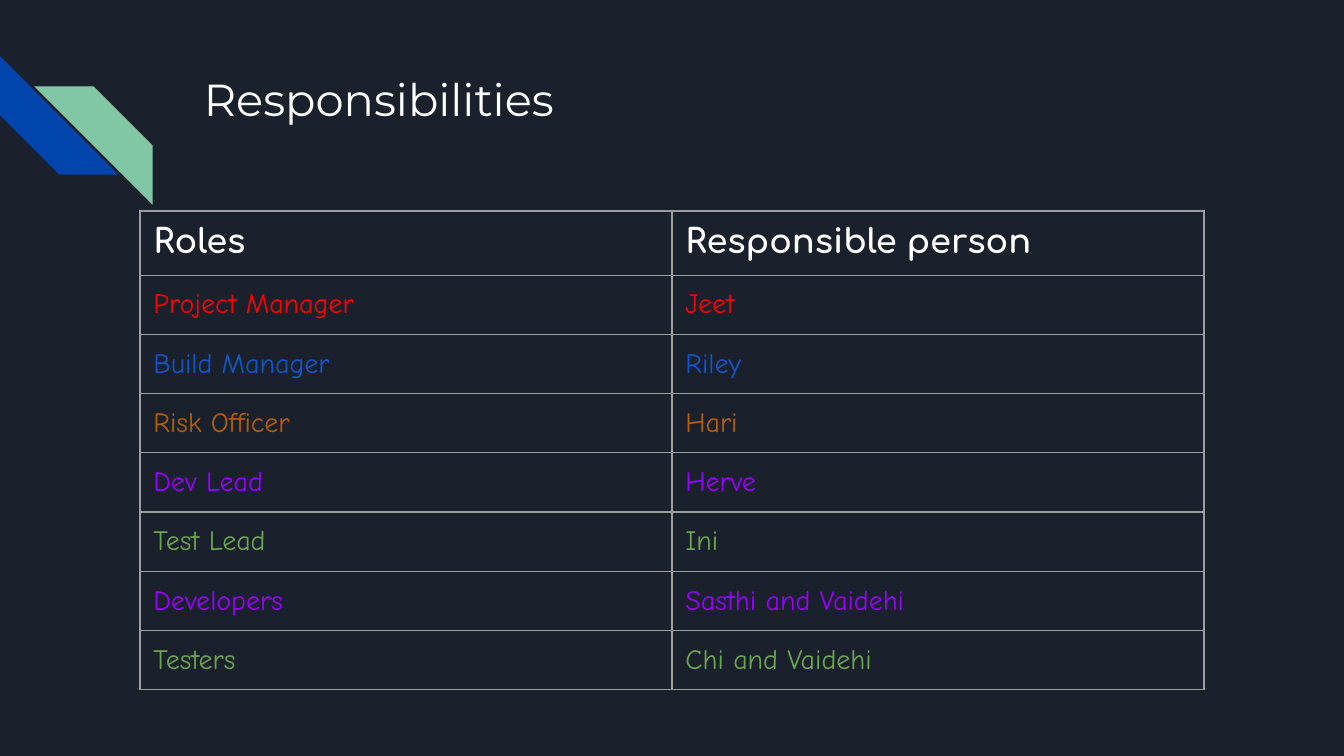
from lxml.etree import SubElement
from pptx import Presentation
from pptx.dml.color import RGBColor
from pptx.enum.shapes import MSO_SHAPE
from pptx.enum.text import MSO_ANCHOR, PP_ALIGN
from pptx.oxml.ns import qn
from pptx.util import Pt

NAVY = RGBColor(0x1B, 0x21, 0x2C)
WHITE = RGBColor(0xFF, 0xFF, 0xFF)
COBALT = RGBColor(0x01, 0x45, 0xAC)
MINT = RGBColor(0x82, 0xC7, 0xA5)
RED = RGBColor(0xFF, 0x00, 0x00)
BLUE = RGBColor(0x11, 0x55, 0xCC)
BROWN = RGBColor(0xB4, 0x5F, 0x06)
PURPLE = RGBColor(0x99, 0x00, 0xFF)
GREEN = RGBColor(0x6A, 0xA8, 0x4F)
GREY = RGBColor(0x9E, 0x9E, 0x9E)

TITLE = "Responsibilities"
HEADINGS = ("Roles", "Responsible person")
ASSIGNMENTS = [
    ("Project Manager", "Jeet", RED),
    ("Build Manager", "Riley", BLUE),
    ("Risk Officer", "Hari", BROWN),
    ("Dev Lead", "Herve", PURPLE),
    ("Test Lead", "Ini", GREEN),
    ("Developers", "Sasthi and Vaidehi", PURPLE),
    ("Testers", "Chi and Vaidehi", GREEN),
]
STRIPES = [(0, 30, 270, COBALT), (18.25, 46.25, 90, MINT)]

STRIPE_SIZE = 63.5
TABLE_LEFT, TABLE_TOP = 75, 113
COLUMN_WIDTH, ROW_HEIGHT = 285, 30
INSET = Pt(7.2)
BORDER = Pt(0.75)


def add_span(para, text, font, size, color, bold=False):
    span = para.add_run()
    span.text = text
    span.font.name = font
    span.font.size = Pt(size)
    span.font.color.rgb = color
    span.font.bold = bold


def set_insets(holder):
    holder.margin_left = holder.margin_right = INSET
    holder.margin_top = holder.margin_bottom = INSET


def add_borders(cell):
    properties = cell._tc.get_or_add_tcPr()
    for position, side in enumerate(("lnL", "lnR", "lnT", "lnB")):
        line = SubElement(properties, qn(f"a:{side}"), w=str(BORDER))
        fill = SubElement(line, qn("a:solidFill"))
        SubElement(fill, qn("a:srgbClr"), val=str(GREY))
        properties.insert(position, line)


def add_stripe(page, left, top, rotation, color):
    stripe = page.shapes.add_shape(
        MSO_SHAPE.DIAGONAL_STRIPE, Pt(left), Pt(top), Pt(STRIPE_SIZE), Pt(STRIPE_SIZE))
    stripe.rotation = rotation
    stripe.shadow.inherit = False
    stripe.fill.solid()
    stripe.fill.fore_color.rgb = color
    stripe.line.fill.background()


def add_title(page):
    box = page.shapes.title
    box.left, box.top, box.width, box.height = Pt(102), Pt(31), Pt(554.5), Pt(72)
    frame = box.text_frame
    set_insets(frame)
    frame.word_wrap = True
    frame.vertical_anchor = MSO_ANCHOR.TOP
    para = frame.paragraphs[0]
    para.alignment = PP_ALIGN.LEFT
    add_span(para, TITLE, "Montserrat", 24, WHITE)


def add_roles_table(page):
    row_count, column_count = len(ASSIGNMENTS) + 1, len(HEADINGS)
    table = page.shapes.add_table(
        row_count, column_count, Pt(TABLE_LEFT), Pt(TABLE_TOP),
        Pt(column_count * COLUMN_WIDTH), Pt(row_count * ROW_HEIGHT)).table
    table.first_row = table.horz_banding = False
    for row_index, (*texts, color) in enumerate([(*HEADINGS, WHITE), *ASSIGNMENTS]):
        heading = row_index == 0
        font, size = ("Comfortaa", 18) if heading else ("Comic Neue", 15)
        for column_index, text in enumerate(texts):
            cell = table.cell(row_index, column_index)
            set_insets(cell)
            cell.fill.background()
            add_borders(cell)
            add_span(cell.text_frame.paragraphs[0], text, font, size, color, heading)


def main():
    deck = Presentation()
    deck.slide_width, deck.slide_height = Pt(720), Pt(405)
    page = deck.slides.add_slide(deck.slide_layouts[5])
    page.background.fill.solid()
    page.background.fill.fore_color.rgb = NAVY
    for stripe in STRIPES:
        add_stripe(page, *stripe)
    add_title(page)
    add_roles_table(page)
    deck.save("out.pptx")


if __name__ == "__main__":
    main()
